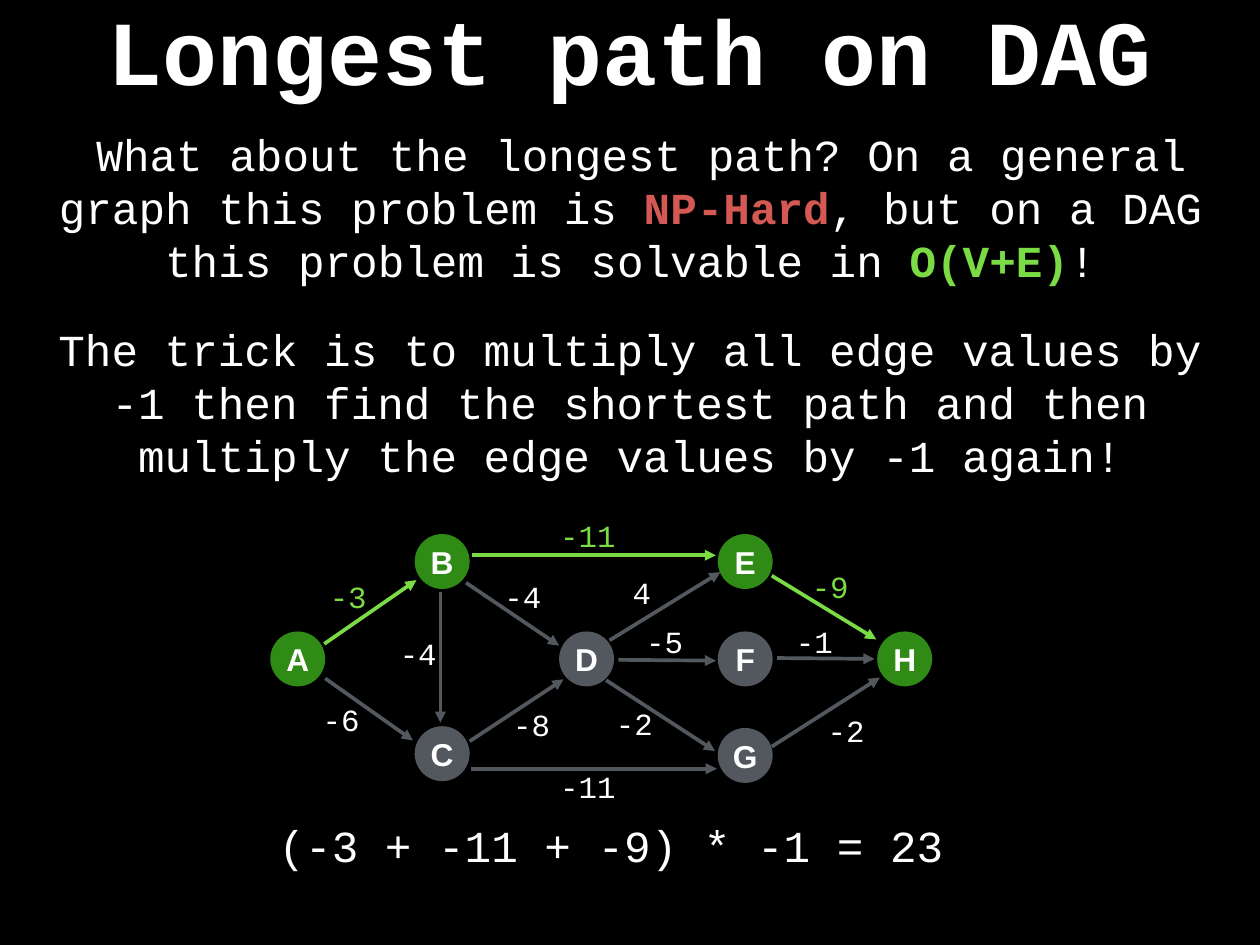
from lxml.etree import SubElement
from pptx import Presentation
from pptx.dml.color import RGBColor
from pptx.enum.shapes import MSO_CONNECTOR as Connector, MSO_SHAPE as Shape
from pptx.enum.text import MSO_ANCHOR as Anchor, MSO_AUTO_SIZE as AutoSize, PP_ALIGN as Align
from pptx.oxml.ns import qn
from pptx.util import Inches, Pt

BLACK = RGBColor(0x00, 0x00, 0x00)
WHITE = RGBColor(0xFF, 0xFF, 0xFF)
GRAY = RGBColor(0x53, 0x58, 0x5F)
GREEN = RGBColor(0x30, 0x8B, 0x16)
LIME = RGBColor(0x7B, 0xDB, 0x45)
RED = RGBColor(0xD4, 0x58, 0x54)

NODE_SIZE = 0.62
LABEL_HEIGHT = 0.51
CHAR_WIDTH = 0.21
INSET = 0.06

# Node: left, top, fill
NODES = {
    "A": (3.05, 7.13, GREEN),
    "B": (4.68, 6.03, GREEN),
    "C": (4.68, 8.2, GRAY),
    "D": (6.31, 7.13, GRAY),
    "E": (8.1, 6.03, GREEN),
    "F": (8.1, 7.13, GRAY),
    "G": (8.1, 8.22, GRAY),
    "H": (9.9, 7.13, GREEN),
}

# Edge: start, end, weight, left and top of the weight, on the longest path
EDGES = [
    ((3.66, 7.27), (4.7, 6.55), "-3", (3.66, 6.48), True),     # A to B
    ((3.67, 7.66), (4.66, 8.36), "-6", (3.58, 7.87), False),   # A to C
    ((5.3, 8.37), (6.36, 7.67), "-8", (5.73, 7.92), False),    # C to D
    ((5.26, 6.58), (6.31, 7.29), "-4", (5.63, 6.48), False),   # B to D
    ((6.98, 7.45), (8.08, 7.46), "-5", (7.23, 6.98), False),   # D to F
    ((6.88, 7.23), (8.13, 6.46), "4", (7.08, 6.43), False),    # D to E
    ((6.84, 7.68), (8.07, 8.48), "-2", (6.89, 7.91), False),   # D to G
    ((8.71, 8.43), (9.93, 7.65), "-2", (9.28, 7.99), False),   # G to H
    ((8.77, 7.43), (9.87, 7.44), "-1", (8.92, 6.99), False),   # F to H
    ((8.71, 6.5), (9.89, 7.22), "-9", (9.1, 6.36), True),      # E to H
    ((5.32, 8.68), (8.09, 8.68), "-11", (6.26, 8.62), False),  # C to G
    ((5.33, 6.27), (8.08, 6.27), "-11", (6.26, 5.79), True),   # B to E
    ((4.97, 6.68), (4.97, 8.16), "-4", (4.45, 7.12), False),   # B to C
]


class GraphSlide:
    """Holds the text style and the slide that is being built."""

    frame_style = {
        "vertical_anchor": Anchor.MIDDLE,
        "auto_size": AutoSize.NONE,
        **{f"margin_{side}": Inches(INSET) for side in ("left", "top", "right", "bottom")},
    }

    def __init__(self, slide):
        self.slide = slide
        slide.background.fill.solid()
        slide.background.fill.fore_color.rgb = BLACK

    def paragraph(self, frame, runs, size, font="Courier New", wrap=True):
        """Fill a frame with one centred paragraph of (text, colour, bold) runs."""
        for name, value in {**self.frame_style, "word_wrap": wrap}.items():
            setattr(frame, name, value)
        paragraph = frame.paragraphs[0]
        paragraph.alignment = Align.CENTER
        for text, color, bold in runs:
            run = paragraph.add_run()
            run.text = text
            for name, value in {"name": font, "size": Pt(size), "bold": bold}.items():
                setattr(run.font, name, value)
            run.font.color.rgb = color
        return paragraph

    def text(self, left, top, width, height, runs, size, wrap=True):
        box = self.slide.shapes.add_textbox(*map(Inches, (left, top, width, height)))
        return self.paragraph(box.text_frame, runs, size, wrap=wrap)

    def node(self, letter, left, top, fill):
        circle = self.slide.shapes.add_shape(
            Shape.OVAL, *map(Inches, (left, top, NODE_SIZE, NODE_SIZE)))
        circle.shadow.inherit = False
        circle.fill.solid()
        circle.fill.fore_color.rgb = fill
        circle.line.fill.background()
        self.paragraph(circle.text_frame, [(letter, WHITE, True)], 25.7, "Arial", wrap=False)

    def arrow(self, start, end, color):
        arrow = self.slide.shapes.add_connector(
            Connector.STRAIGHT, *map(Inches, (*start, *end)))
        arrow.line.color.rgb = color
        arrow.line.width = Pt(3)
        SubElement(arrow.line._get_or_add_ln(), qn("a:tailEnd"), type="triangle")
        SubElement(arrow._element.spPr, qn("a:effectLst"))

    def weight(self, value, left, top, color):
        width = 2 * INSET + CHAR_WIDTH * len(value)
        self.text(left, top, width, LABEL_HEIGHT, [(value, color, False)], 25, wrap=False)


def main():
    deck = Presentation()
    deck.slide_width, deck.slide_height = Inches(14.22), Inches(10.67)
    graph = GraphSlide(deck.slides.add_slide(deck.slide_layouts[6]))

    # Title and explanation
    graph.text(-0.12, -0.11, 14.45, 1.32, [("Longest path on DAG", WHITE, True)], 74.4)
    question = graph.text(0.13, 0.71, 13.97, 3.25, [
        ("What about the longest path? On a general graph this problem is ", WHITE, False),
        ("NP-Hard", RED, True),
        (", but on a DAG this problem is solvable in ", WHITE, False),
        ("O(V+E)", LIME, True),
        ("!", WHITE, False),
    ], 36)
    question._p.get_or_add_pPr().set("indent", str(Inches(0.25)))
    graph.text(0.56, 3.63, 13.1, 1.82, [
        ("The trick is to multiply all edge values by -1 then find the shortest path "
         "and then multiply the edge values by -1 again!", WHITE, False),
    ], 36)

    # Graph
    for letter, (left, top, fill) in NODES.items():
        graph.node(letter, left, top, fill)
    for start, end, value, (left, top), longest in EDGES:
        graph.arrow(start, end, LIME if longest else GRAY)
        graph.weight(value, left, top, LIME if longest else WHITE)

    # Result
    graph.text(3.07, 9.2, 7.65, 0.68, [("(-3 + -11 + -9) * -1 = 23", WHITE, False)], 36, wrap=False)

    deck.save("out.pptx")


if __name__ == "__main__":
    main()
